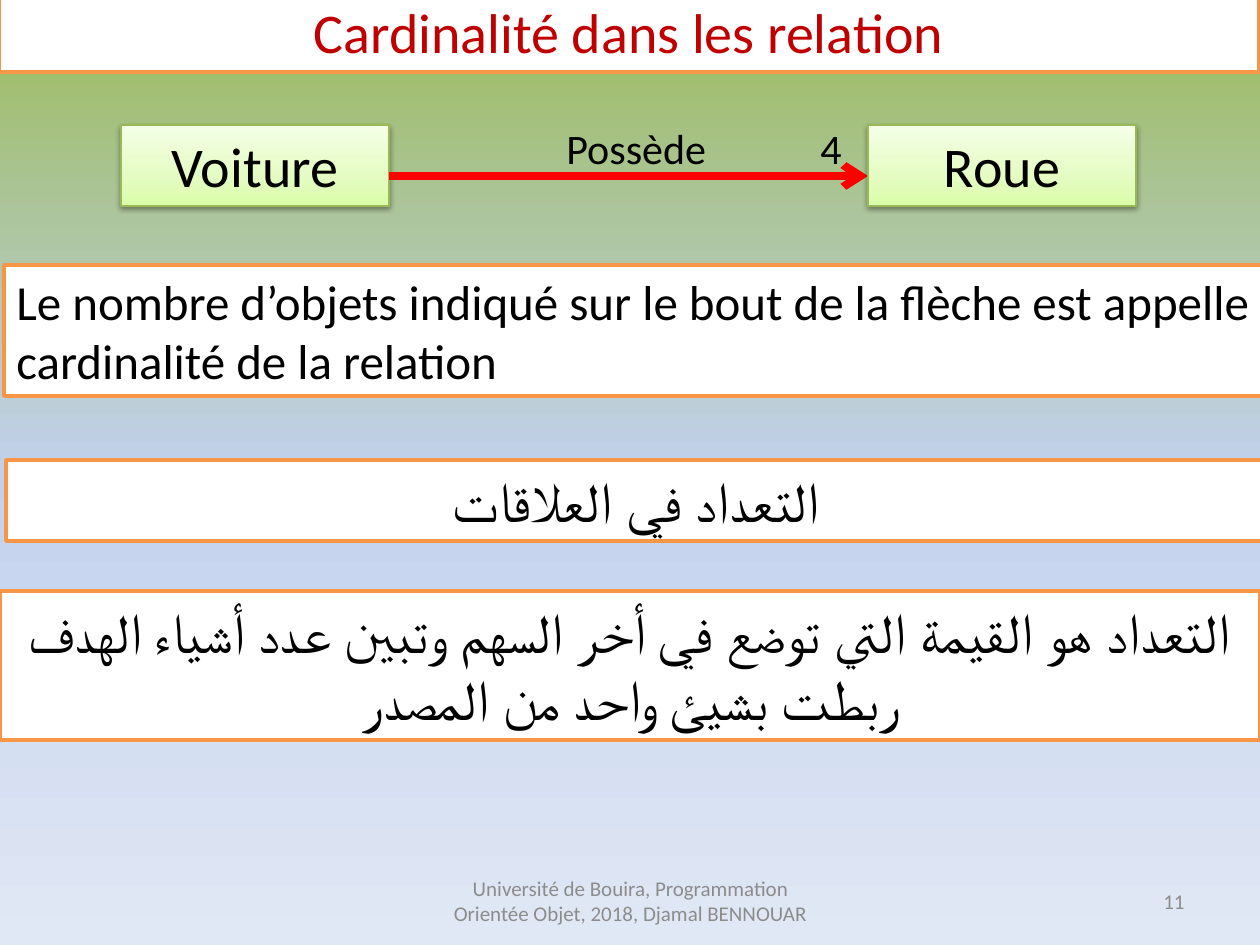
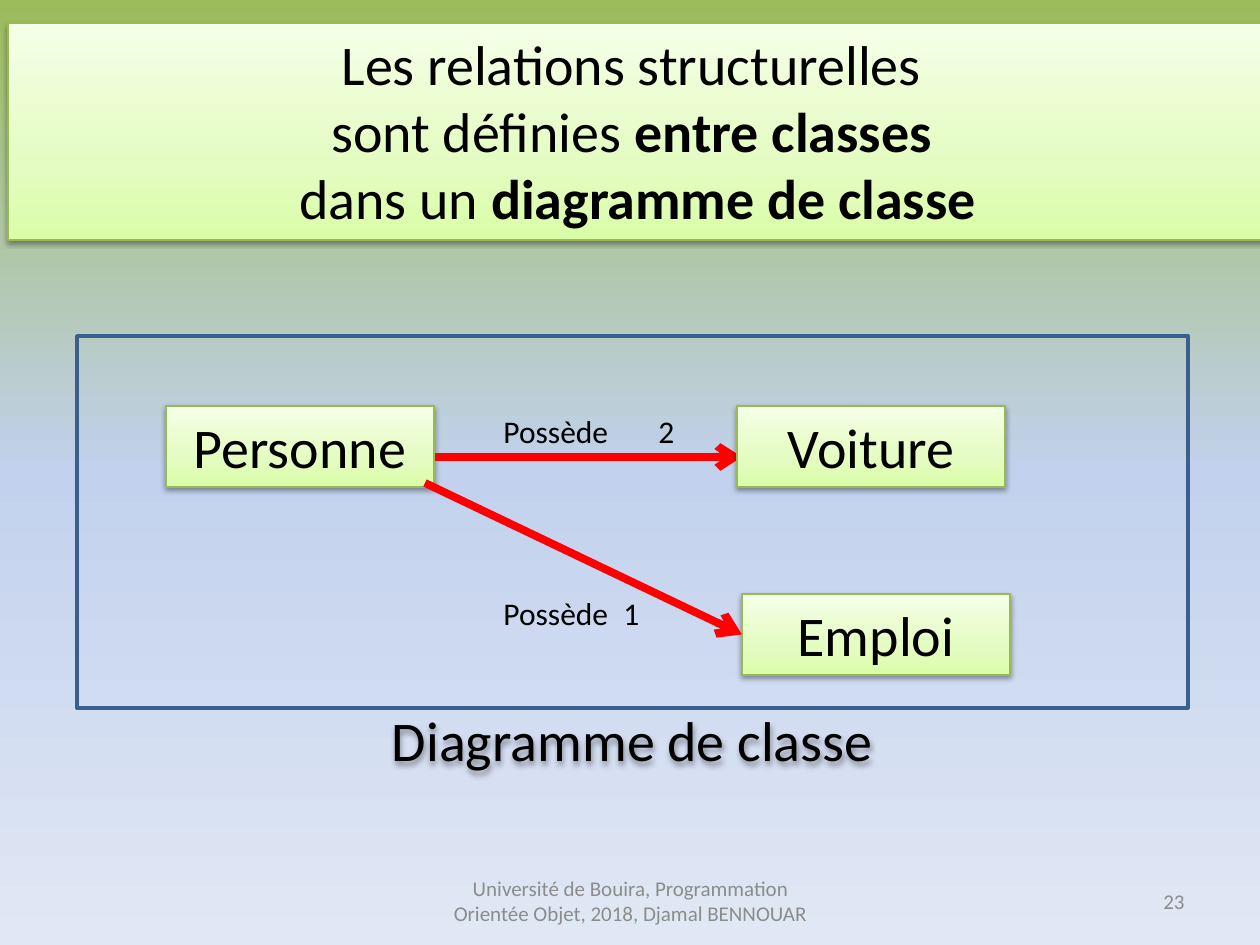
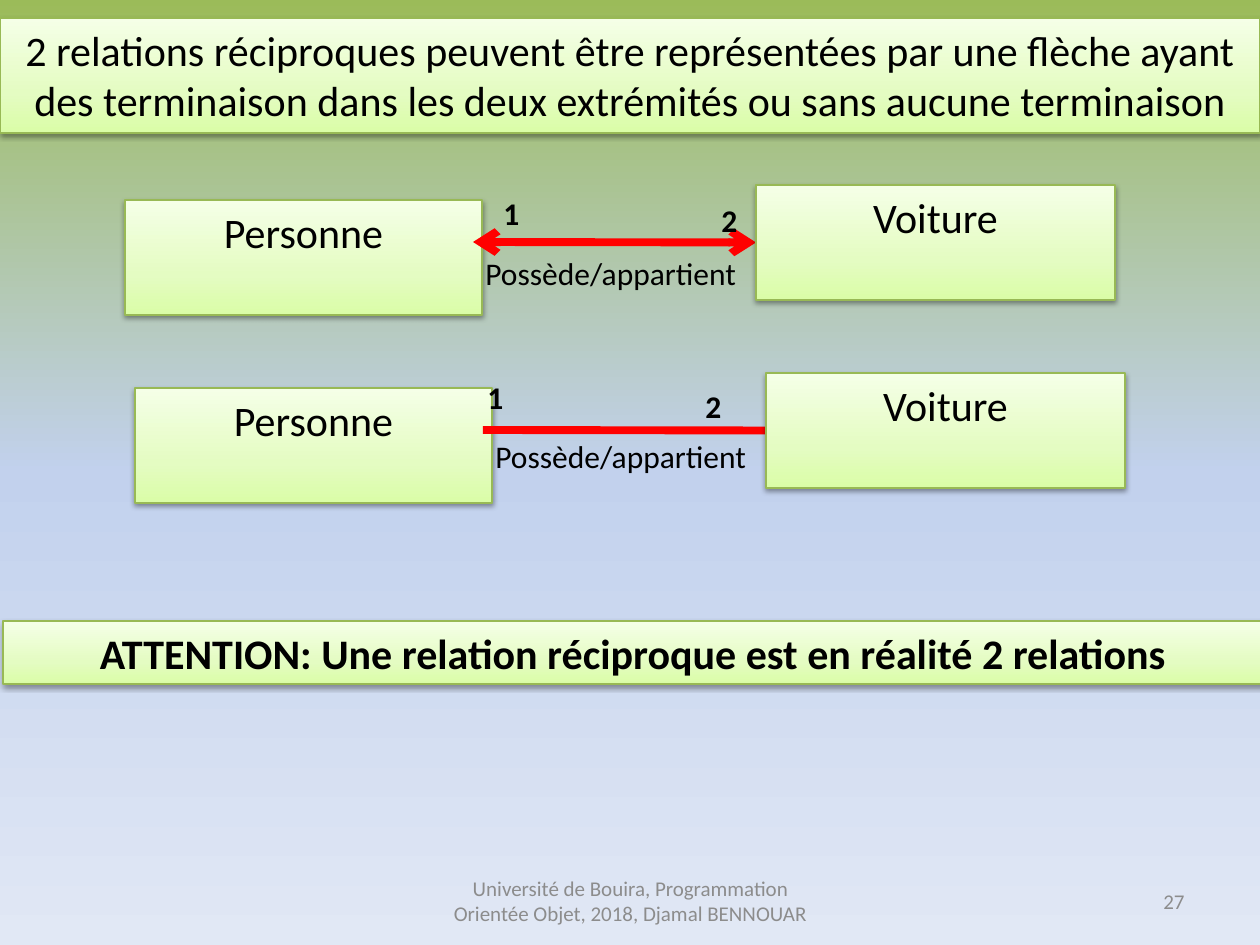
from dataclasses import dataclass
from enum import Enum

from lxml.etree import SubElement
from pptx import Presentation
from pptx.dml.color import RGBColor
from pptx.dml.fill import FillFormat
from pptx.enum.shapes import MSO_CONNECTOR, MSO_SHAPE
from pptx.enum.text import MSO_ANCHOR, PP_ALIGN
from pptx.oxml.ns import qn
from pptx.shapes.autoshape import Shape
from pptx.shapes.connector import Connector
from pptx.slide import Slide
from pptx.util import Emu, Pt

PX_PER_INCH = 126
SLIDE_WIDTH, SLIDE_HEIGHT = 1260, 945
LEFT_SIDE = 1


def px(length: int) -> Emu:
    return Emu(round(length * 914400 / PX_PER_INCH))


# Theme
@dataclass(frozen=True)
class Gradient:
    stops: tuple[tuple[int, str], ...]
    angle: int


@dataclass(frozen=True)
class Theme:
    font: str = "Calibri"
    ink: str = "000000"
    title: str = "C00000"
    muted: str = "8C8C8C"
    paper: str = "FFFFFF"
    note_line: str = "F79646"
    class_line: str = "98B955"
    frame_line: str = "3A5F8C"
    relation: str = "FF0000"
    background: Gradient = Gradient(((0, "9BBB59"), (50, "C2D1ED"), (100, "E1E8F5")), 270)
    class_fill: Gradient = Gradient(((0, "DAFDA7"), (35, "E4FCC2"), (100, "F5FFE7")), 90)
    large: int = 32
    medium: int = 28
    body: int = 24
    small: int = 18
    footer: int = 12
    thin: float = 0.75
    border: float = 2
    relation_width: float = 4.5


THEME = Theme()


class Look(Enum):
    PLAIN = "plain"
    LIFTED = "lifted"
    NOTE = "note"
    CLASS = "class"
    FRAME = "frame"


@dataclass(frozen=True)
class Block:
    text: str
    left: int
    top: int
    width: int
    height: int
    size: int = THEME.large
    look: Look = Look.CLASS
    color: str = THEME.ink
    align: PP_ALIGN = PP_ALIGN.CENTER
    bold: bool = False
    rtl: bool = False
    anchor: MSO_ANCHOR = MSO_ANCHOR.TOP
    tab: int = 0


@dataclass(frozen=True)
class Relation:
    start: tuple[int, int]
    end: tuple[int, int]
    ends: tuple[str, ...] = ("tailEnd",)


@dataclass(frozen=True)
class ReciprocalPair:
    left: int
    top: int
    label_top: int
    one_at: tuple[int, int]
    two_at: tuple[int, int]
    ends: tuple[str, ...]


# Drawing
def paint_gradient(fill: FillFormat, owner: Slide | Shape, gradient: Gradient) -> None:
    fill.gradient()
    fill.gradient_angle = gradient.angle
    stop_list = owner.element.find(".//" + qn("a:gsLst"))
    for old_stop in list(stop_list):
        stop_list.remove(old_stop)
    for position, color in gradient.stops:
        stop = SubElement(stop_list, qn("a:gs"), pos=str(position * 1000))
        SubElement(stop, qn("a:srgbClr"), val=color)


def add_soft_shadow(shape: Shape) -> None:
    effects = shape.element.spPr.find(qn("a:effectLst"))
    shadow = SubElement(effects, qn("a:outerShdw"), blurRad="40000", dist="20000",
                        dir="5400000", rotWithShape="0")
    color = SubElement(shadow, qn("a:srgbClr"), val="000000")
    SubElement(color, qn("a:alpha"), val="38000")


def style_outline(shape: Shape, look: Look) -> None:
    shape.shadow.inherit = False
    if look in (Look.CLASS, Look.LIFTED):
        add_soft_shadow(shape)
    if look in (Look.PLAIN, Look.LIFTED):
        return
    color, width = {
        Look.NOTE: (THEME.note_line, THEME.border),
        Look.CLASS: (THEME.class_line, THEME.thin),
        Look.FRAME: (THEME.frame_line, THEME.border),
    }[look]
    shape.line.color.rgb = RGBColor.from_string(color)
    shape.line.width = Pt(width)
    if look is Look.CLASS:
        paint_gradient(shape.fill, shape, THEME.class_fill)
    elif look is Look.NOTE:
        shape.fill.solid()
        shape.fill.fore_color.rgb = RGBColor.from_string(THEME.paper)
    else:
        shape.fill.background()


def add_block(slide: Slide, block: Block, emphasis: tuple[str, ...] = ()) -> Shape:
    """Draw a block; emphasis holds the bold ending of each paragraph."""
    bounds = [px(v) for v in (block.left, block.top, block.width, block.height)]
    if block.look in (Look.PLAIN, Look.LIFTED):
        shape = slide.shapes.add_textbox(*bounds)
    else:
        shape = slide.shapes.add_shape(MSO_SHAPE.RECTANGLE, *bounds)
    style_outline(shape, block.look)
    frame = shape.text_frame
    frame.word_wrap = True
    frame.vertical_anchor = block.anchor
    frame.text = block.text
    for paragraph, ending in zip(frame.paragraphs, emphasis):
        if ending:
            strong = paragraph.add_run()
            strong.text = ending
            strong.font.bold = True
    for paragraph in frame.paragraphs:
        paragraph.alignment = block.align
        properties = paragraph._p.get_or_add_pPr()
        if block.rtl:
            properties.set("rtl", "1")
        if block.tab:
            tabs = SubElement(properties, qn("a:tabLst"))
            SubElement(tabs, qn("a:tab"), pos=str(px(block.tab)), algn="l")
        for run in paragraph.runs:
            run.font.name = THEME.font
            run.font.size = Pt(block.size)
            run.font.color.rgb = RGBColor.from_string(block.color)
            if block.bold:
                run.font.bold = True
    return shape


def add_label(slide: Slide, text: str, left: int, top: int, width: int, height: int = 50,
              size: int = THEME.small, tab: int = 0, bold: bool = False) -> None:
    add_block(slide, Block(text, left, top, width, height, size, Look.PLAIN,
                           align=PP_ALIGN.LEFT, tab=tab, bold=bold))


def add_class(slide: Slide, name: str, left: int, top: int) -> Shape:
    return add_block(slide, Block(name, left, top, 268, 81))


def add_relation(slide: Slide, relation: Relation) -> Connector:
    points = [px(v) for v in relation.start + relation.end]
    connector = slide.shapes.add_connector(MSO_CONNECTOR.STRAIGHT, *points)
    connector.line.color.rgb = RGBColor.from_string(THEME.relation)
    connector.line.width = Pt(THEME.relation_width)
    outline = connector.line._get_or_add_ln()
    for end in relation.ends:
        SubElement(outline, qn(f"a:{end}"), type="arrow")
    SubElement(connector.element.spPr, qn("a:effectLst"))
    return connector


def add_course_slide(deck: Presentation, number: int) -> Slide:
    slide = deck.slides.add_slide(deck.slide_layouts[6])
    paint_gradient(slide.background.fill, slide, THEME.background)
    footers = (
        ("Université de Bouira, Programmation Orientée Objet, 2018, Djamal BENNOUAR",
         431, 399, PP_ALIGN.CENTER),
        (str(number), 903, 294, PP_ALIGN.RIGHT),
    )
    for text, left, width, align in footers:
        add_block(slide, Block(text, left, 876, width, 50, THEME.footer, Look.PLAIN,
                               THEME.muted, align, anchor=MSO_ANCHOR.MIDDLE))
    return slide


# Slide: cardinality of a relation
def build_cardinality(deck: Presentation) -> None:
    slide = add_course_slide(deck, 11)
    add_block(slide, Block("Cardinalité dans les relation", -1, -9, SLIDE_WIDTH, 81,
                           look=Look.NOTE, color=THEME.title))
    add_class(slide, "Voiture", 121, 125)
    add_relation(slide, Relation((389, 176), (868, 176)))
    add_class(slide, "Roue", 868, 125)
    add_label(slide, "Possède\t4", 554, 116, 338, 63, THEME.body, tab=254)
    notes = (
        Block("التعداد في العلاقات", 6, 460, SLIDE_WIDTH, 81, look=Look.NOTE, rtl=True),
        Block("Le nombre d’objets indiqué sur le bout de la flèche est appelle "
              "cardinalité de la relation", 4, 265, SLIDE_WIDTH, 131, THEME.medium,
              Look.NOTE, align=PP_ALIGN.LEFT),
        Block("التعداد هو القيمة التي توضع في أخر السهم وتبين عدد أشياء الهدف "
              "ربطت بشيئ واحد من المصدر", 0, 591, SLIDE_WIDTH, 149,
              look=Look.NOTE, rtl=True),
    )
    for note in notes:
        add_block(slide, note)


# Slide: class diagram
def build_class_diagram(deck: Presentation) -> None:
    slide = add_course_slide(deck, 23)
    add_block(slide,
              Block("Les relations structurelles \nsont définies \ndans un ",
                    8, 23, SLIDE_WIDTH, 217),
              ("", "entre classes ", "diagramme de classe"))
    add_class(slide, "Personne", 166, 406)
    add_relation(slide, Relation((435, 457), (742, 457)))
    add_label(slide, "Possède\t2", 491, 406, 218, tab=155)
    add_class(slide, "Voiture", 737, 406)
    job = add_class(slide, "Emploi", 742, 594)
    add_relation(slide, Relation((425, 483), (742, 634))).end_connect(job, LEFT_SIDE)
    add_label(slide, "Possède\t1", 491, 588, 218, tab=120)
    add_block(slide, Block("", 77, 336, 1111, 372, look=Look.FRAME))
    add_block(slide, Block("Diagramme de classe", 77, 699, 1111, 81, look=Look.LIFTED))


# Slide: reciprocal relations
def build_reciprocal(deck: Presentation) -> None:
    slide = add_course_slide(deck, 27)
    add_block(slide, Block("2 relations réciproques peuvent être représentées par une flèche "
                           "ayant des terminaison dans les deux extrémités ou sans aucune "
                           "terminaison", 0, 18, SLIDE_WIDTH, 115, THEME.body))
    pairs = (
        ReciprocalPair(125, 200, 248, (491, 188), (709, 195), ("headEnd", "tailEnd")),
        ReciprocalPair(135, 388, 431, (475, 372), (693, 381), ()),
    )
    for pair in pairs:
        start, car_left, car_top = pair.left + 348, pair.left + 631, pair.top - 15
        line_y = car_top + 57
        add_block(slide, Block("Personne", pair.left, pair.top, 357, 115, THEME.body))
        link = add_relation(slide, Relation((start, line_y), (car_left, line_y), pair.ends))
        car = add_block(slide, Block("Voiture", car_left, car_top, 359, 115, THEME.body))
        link.end_connect(car, LEFT_SIDE)
        add_label(slide, "Possède/appartient", start, pair.label_top, 341)
        for count, position in (("1", pair.one_at), ("2", pair.two_at)):
            add_label(slide, count, *position, 77, bold=True)
    add_block(slide, Block("ATTENTION: Une relation réciproque est en réalité 2 relations",
                           3, 621, SLIDE_WIDTH, 63, THEME.body, bold=True))


def main() -> None:
    deck = Presentation()
    deck.slide_width, deck.slide_height = px(SLIDE_WIDTH), px(SLIDE_HEIGHT)
    build_cardinality(deck)
    build_class_diagram(deck)
    build_reciprocal(deck)
    deck.save("out.pptx")


if __name__ == "__main__":
    main()
